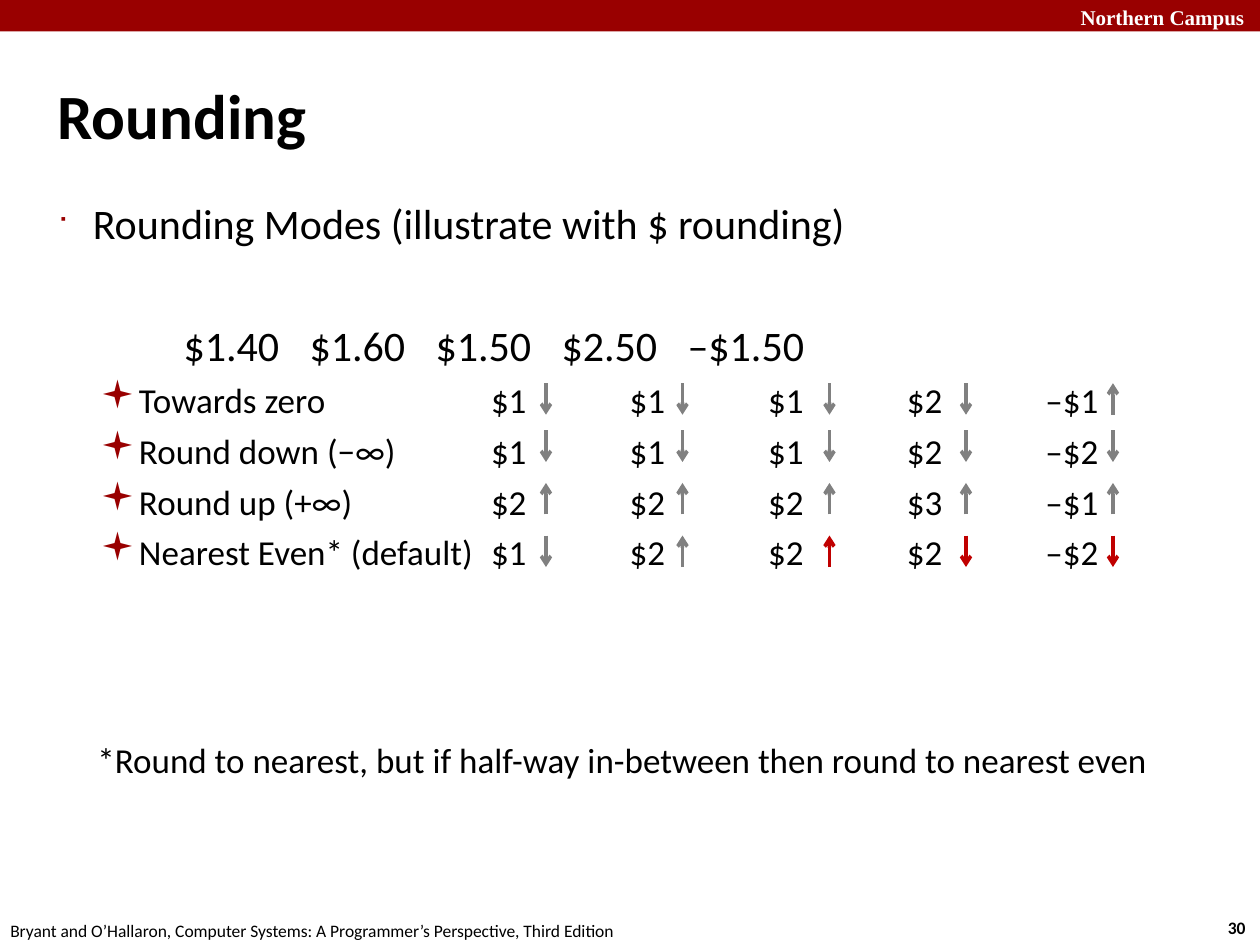
"""Build the slide on rounding modes, laid out on a 120 by 90 grid."""
from dataclasses import dataclass

from lxml import etree
from pptx import Presentation
from pptx import util as u
from pptx.dml.color import RGBColor
from pptx.enum import shapes, text
from pptx.oxml import ns

CELL = 1 / 12
BLACK, WHITE, RED, GRAY, ACCENT = "000000", "FFFFFF", "990000", "808080", "C00000"
LEFT, RIGHT = text.PP_ALIGN.LEFT, text.PP_ALIGN.RIGHT
ARROW_COLUMNS = (52, 65, 79, 92, 106)
ARROW_LENGTH = 3
VALUE_TABS = [3.44 + 1.1 * column for column in range(5)]
AMOUNT_TABS = [1, 2, 3, 4, 5]
AMOUNTS = ("$1.40", "$1.60", "$1.50", "$2.50", "–$1.50")


@dataclass(frozen=True)
class Box:
    left: float
    top: float
    width: float
    height: float


@dataclass(frozen=True)
class Style:
    size: int
    color: str = BLACK
    bold: bool = False
    font: str = "Calibri"


@dataclass(frozen=True)
class Bullet:
    character: str
    percent: int
    margin: float
    hanging: float


@dataclass(frozen=True)
class Label:
    content: str
    box: Box
    style: Style
    alignment: text.PP_ALIGN = LEFT


@dataclass(frozen=True)
class Mode:
    name: str
    values: tuple[str, ...]
    arrows: str
    arrow_row: float
    highlighted_from: int = 5


LABELS = (
    Label("30", Box(112, 86.7, 7.8, 3.2), Style(10, bold=True), RIGHT),
    Label("Bryant and O’Hallaron, Computer Systems: A Programmer’s Perspective, Third Edition",
          Box(-0.2, 87, 66, 3), Style(10)),
    Label("Northern Campus", Box(90, -0.2, 29.7, 3.6),
          Style(12, WHITE, True, "Times New Roman"), RIGHT),
    Label("*Round to nearest, but if half-way in-between then round to nearest even",
          Box(8.1, 69.7, 108, 5.3), Style(20)),
)
MODES = (
    Mode("Towards zero", ("$1", "$1", "$1", "$2", "–$1"), "↓↓↓↓↑", 36.5),
    Mode("Round down (−∞)", ("$1", "$1", "$1", "$2", "–$2"), "↓↓↓↓↓", 41),
    Mode("Round up (+∞) ", ("$2", "$2", "$2", "$3", "–$1"), "↑↑↑↑↑", 46),
    Mode("Nearest Even* (default)", ("$1", "$2", "$2", "$2", "–$2"), "↓↑↑↓↓", 51, 2),
)
TOPIC_BULLET = Bullet("■", 60, 0.28, 0.28)
MODE_BULLET = Bullet("▪", 110, 0.6, 0.26)


def color_of(value: str) -> RGBColor:
    """Turn a hex string into a colour."""
    return RGBColor.from_string(value)


def cells(count: float) -> int:
    """Turn a number of grid cells into a length."""
    return u.Inches(count * CELL)


def place(box: Box) -> tuple[int, ...]:
    """Give the position and size of a box."""
    return tuple(cells(count) for count in (box.left, box.top, box.width, box.height))


def add_run(paragraph, content: str, style: Style) -> None:
    """Add one styled run to a paragraph."""
    run = paragraph.add_run()
    run.text = content
    run.font.name, run.font.size, run.font.bold = style.font, u.Pt(style.size), style.bold
    run.font.color.rgb = color_of(style.color)


def add_frame(slide, box: Box):
    """Add a wrapping text area with narrow margins."""
    frame = slide.shapes.add_textbox(*place(box)).text_frame
    frame.word_wrap = True
    frame.margin_left = frame.margin_right = u.Inches(0.04)
    frame.margin_top = frame.margin_bottom = u.Inches(0.04)
    return frame


def add_label(slide, label: Label) -> None:
    """Add a single line of text in a box wide enough to hold it."""
    frame = slide.shapes.add_textbox(*place(label.box)).text_frame
    frame.word_wrap = True
    paragraph = frame.paragraphs[0]
    paragraph.alignment = label.alignment
    add_run(paragraph, label.content, label.style)


def add_child(parent, tag: str, **attributes: str):
    """Append a DrawingML element."""
    return etree.SubElement(parent, ns.qn(f"a:{tag}"), attributes)


def set_bullet(paragraph, bullet: Bullet) -> None:
    """Give a paragraph a coloured bullet and a hanging indent."""
    properties = paragraph._p.get_or_add_pPr()
    properties.set("marL", str(u.Inches(bullet.margin)))
    properties.set("indent", str(-u.Inches(bullet.hanging)))
    add_child(add_child(properties, "buClr"), "srgbClr", val=RED)
    add_child(properties, "buSzPct", val=str(bullet.percent * 1000))
    add_child(properties, "buFont", typeface="Wingdings")
    add_child(properties, "buChar", char=bullet.character)


def set_tabs(paragraph, stops: list[float]) -> None:
    """Set left tab stops, in inches."""
    tabs = add_child(paragraph._p.get_or_add_pPr(), "tabLst")
    for stop in stops:
        add_child(tabs, "tab", pos=str(u.Inches(stop)), algn="l")


def add_arrow(slide, column: float, row: float, direction: str, color: str) -> None:
    """Draw a vertical arrow whose top is at the given row."""
    start, end = row, row + ARROW_LENGTH
    if direction == "↑":
        start, end = end, start
    arrow = slide.shapes.add_connector(shapes.MSO_CONNECTOR.STRAIGHT, cells(column),
                                       cells(start), cells(column), cells(end))
    arrow.line.width = u.Pt(2)
    arrow.line.color.rgb = color_of(color)
    add_child(arrow.line._get_or_add_ln(), "tailEnd", type="arrow")
    add_child(arrow._element.spPr, "effectLst")


def add_modes(slide) -> None:
    """Write the rounding modes with their values and arrows."""
    frame = add_frame(slide, Box(5, 18.3, 110, 41.7))
    topic = frame.paragraphs[0]
    topic.space_before = u.Pt(6)
    set_bullet(topic, TOPIC_BULLET)
    add_run(topic, "Rounding Modes (illustrate with $ rounding)", Style(24))

    amounts = frame.add_paragraph()
    amounts.space_before = u.Pt(41)
    set_tabs(amounts, AMOUNT_TABS)
    add_run(amounts, "\t" + "\t".join(AMOUNTS), Style(24))

    for mode in MODES:
        paragraph = frame.add_paragraph()
        paragraph.level = 1
        paragraph.space_before = u.Pt(5)
        set_bullet(paragraph, MODE_BULLET)
        set_tabs(paragraph, VALUE_TABS)
        add_run(paragraph, "\t".join((mode.name, *mode.values)), Style(20))
        for index, (column, direction) in enumerate(zip(ARROW_COLUMNS, mode.arrows)):
            color = ACCENT if index >= mode.highlighted_from else GRAY
            add_arrow(slide, column, mode.arrow_row, direction, color)


def main() -> None:
    """Build and save the presentation."""
    presentation = Presentation()
    presentation.slide_width, presentation.slide_height = cells(120), cells(90)
    slide = presentation.slides.add_slide(presentation.slide_layouts[6])

    band = slide.shapes.add_shape(shapes.MSO_SHAPE.RECTANGLE, *place(Box(0, 0, 120, 3)))
    band.shadow.inherit = False
    band.fill.solid()
    band.fill.fore_color.rgb = color_of(RED)
    band.line.fill.background()

    for label in LABELS:
        add_label(slide, label)
    title = add_frame(slide, Box(5, 3.4, 110, 15))
    title.vertical_anchor = text.MSO_ANCHOR.MIDDLE
    add_run(title.paragraphs[0], "Rounding", Style(36, bold=True))
    add_modes(slide)
    presentation.save("out.pptx")


if __name__ == "__main__":
    main()
